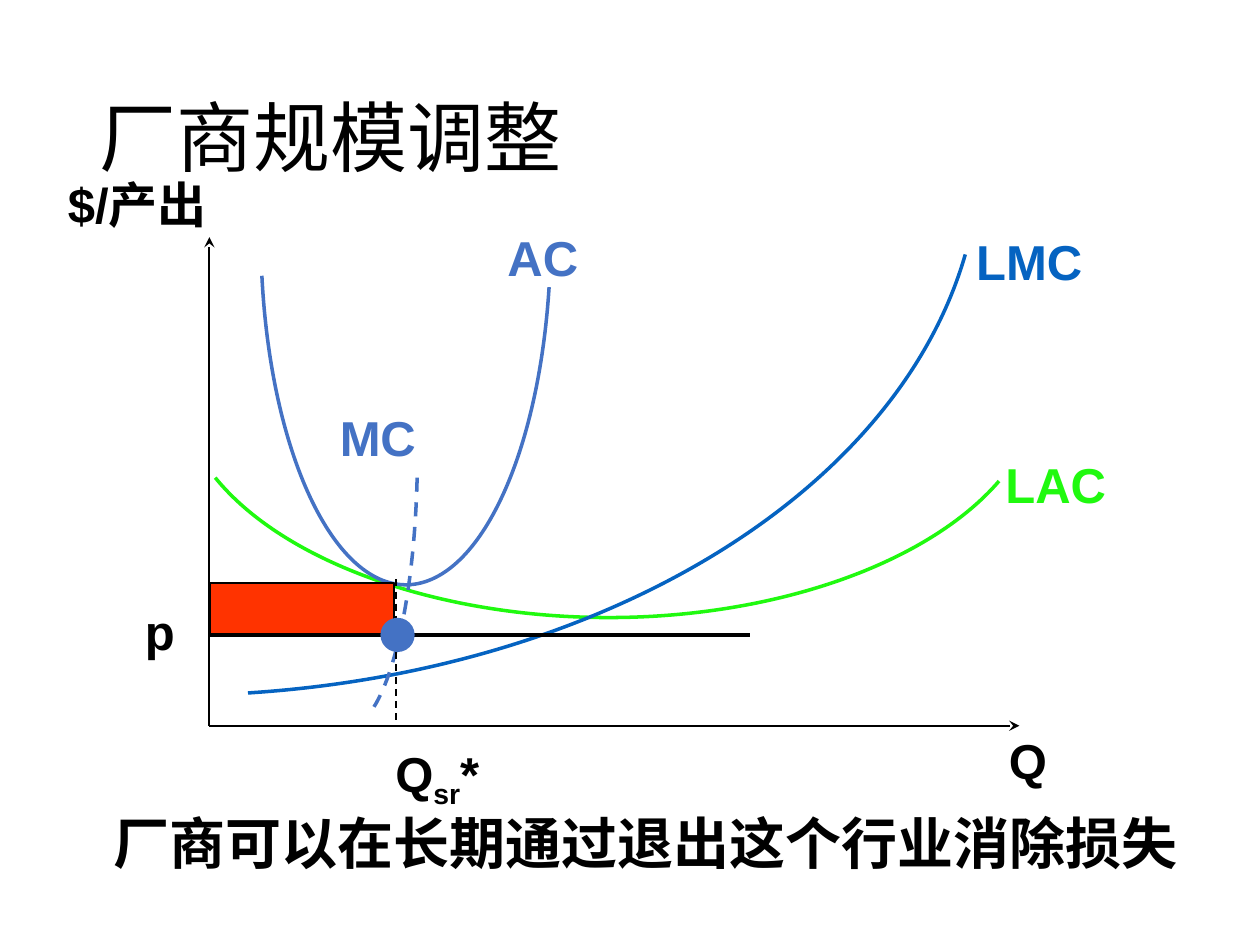
from dataclasses import dataclass
from typing import Optional

from lxml.etree import SubElement
from pptx import Presentation
from pptx.dml.color import RGBColor
from pptx.enum.dml import MSO_LINE as Dash
from pptx.enum.shapes import MSO_CONNECTOR as Connector, MSO_SHAPE as Shape
from pptx.enum.text import MSO_ANCHOR as Anchor, MSO_AUTO_SIZE as AutoSize
from pptx.oxml.ns import qn
from pptx.util import Cm, Pt

COLORS = {
    "black": "000000",
    "long_mc": "0563C1",
    "long_ac": "20F90F",
    "short": "4472C4",
    "loss": "FF3300",
}

# Key places of the diagram, in cm
ORIGIN_X, ORIGIN_Y = 4.22, 14.63
PRICE_Y = 12.8
QUANTITY_X = 7.98
DOT_SIZE = 0.69


@dataclass
class Curve:
    """A chain of cubic Bézier segments: start, then two controls and an end each."""
    color: str
    points: list[tuple[float, float]]
    dash: Optional[Dash] = None


@dataclass
class Line:
    start: tuple[float, float]
    end: tuple[float, float]
    width: float = 1
    dash: Optional[Dash] = None
    arrow: bool = False


@dataclass
class Label:
    text: str
    left: float
    top: float
    width: float
    color: str = "black"
    wrap: bool = False
    subscript: str = ""
    suffix: str = ""


CURVES = [
    # LAC
    Curve("long_ac", [(20.14, 9.7), (18.72, 11.35), (15.65, 12.45), (12.27, 12.45),
                      (8.84, 12.45), (5.72, 11.33), (4.34, 9.63)]),
    # LMC
    Curve("long_mc", [(19.46, 5.13), (18.08, 9.93), (12.19, 13.51), (5, 13.97)]),
    # AC
    Curve("short", [(11.07, 5.79), (10.85, 9.25), (9.63, 11.79), (8.18, 11.79),
                    (6.71, 11.79), (5.46, 9.12), (5.28, 5.56)]),
    # MC
    Curve("short", [(8.41, 9.63), (8.36, 11.68), (8.03, 13.46), (7.54, 14.25)],
          Dash.DASH),
]

AXES = [
    Line((ORIGIN_X, ORIGIN_Y), (ORIGIN_X, 4.78), arrow=True),
    Line((ORIGIN_X, ORIGIN_Y), (20.55, ORIGIN_Y), arrow=True),
]

GUIDES = [
    Line((ORIGIN_X, PRICE_Y), (15.11, PRICE_Y), width=2),
    Line((QUANTITY_X, 11.68), (QUANTITY_X, ORIGIN_Y), dash=Dash.DASH),
]

LABELS = [
    Label("LMC", 19.43, 4.55, 2.69, "long_mc"),
    Label("LAC", 20.02, 9.04, 2.57, "long_ac"),
    Label("Q", 20.09, 14.6, 1.3),
    Label("$/产出", 1.12, 3.4, 3.35, wrap=True),
    Label("AC", 9.98, 4.47, 1.96, "short"),
    Label("MC", 6.6, 8.1, 2.08, "short"),
    Label("p", 2.67, 12.01, 1.12),
    Label("Q", 7.72, 14.86, 2.31, subscript="sr", suffix="*"),
]


def rgb(name: str) -> RGBColor:
    return RGBColor.from_string(COLORS[name])


def style_line(line, color: str, width: float, dash: Optional[Dash] = None) -> None:
    line.color.rgb = rgb(color)
    line.width = Pt(width)
    if dash is not None:
        line.dash_style = dash


def add_text(slide, text: str, left: float, top: float, width: float, height: float,
             *, size: float = 28, font: str = "Arial", color: str = "black",
             bold: bool = True, wrap: bool = False, anchor: Anchor = Anchor.TOP,
             auto_size: AutoSize = AutoSize.SHAPE_TO_FIT_TEXT,
             line_spacing: Optional[float] = None,
             subscript: str = "", suffix: str = "") -> None:
    box = slide.shapes.add_textbox(Cm(left), Cm(top), Cm(width), Cm(height))
    frame = box.text_frame
    frame.word_wrap = wrap
    frame.auto_size = auto_size
    frame.vertical_anchor = anchor
    paragraph = frame.paragraphs[0]
    paragraph.line_spacing = line_spacing
    for part, lowered in ((text, False), (subscript, True), (suffix, False)):
        if not part:
            continue
        run = paragraph.add_run()
        run.text = part
        run.font.size = Pt(size)
        run.font.name = font
        run.font.bold = bold
        run.font.color.rgb = rgb(color)
        if lowered:
            run.font._element.set("baseline", "-25000")


def add_line(slide, item: Line) -> None:
    ends = [Cm(value) for value in (*item.start, *item.end)]
    connector = slide.shapes.add_connector(Connector.STRAIGHT, *ends)
    style_line(connector.line, "black", item.width, item.dash)
    if item.arrow:
        SubElement(connector.line._get_or_add_ln(), qn("a:tailEnd"), type="stealth")
    SubElement(connector._element.spPr, qn("a:effectLst"))


def add_curve(slide, curve: Curve) -> None:
    start, *rest = [(Cm(x), Cm(y)) for x, y in curve.points]
    builder = slide.shapes.build_freeform(*start)
    builder.add_line_segments(rest, close=False)
    outline = builder.convert_to_shape()
    # Turn every three straight steps into one cubic segment
    geometry = outline._element.find(".//" + qn("a:path"))
    steps = geometry.findall(qn("a:lnTo"))
    for first in range(0, len(steps), 3):
        cubic = SubElement(geometry, qn("a:cubicBezTo"))
        for step in steps[first:first + 3]:
            cubic.append(step[0])
            geometry.remove(step)
    outline.shadow.inherit = False
    outline.fill.background()
    style_line(outline.line, curve.color, 2, curve.dash)


def add_area(slide, kind: Shape, left: float, top: float, width: float, height: float,
             fill: str, border: Optional[str] = None) -> None:
    area = slide.shapes.add_shape(kind, Cm(left), Cm(top), Cm(width), Cm(height))
    area.shadow.inherit = False
    area.fill.solid()
    area.fill.fore_color.rgb = rgb(fill)
    if border:
        style_line(area.line, border, 1)
    else:
        area.line.fill.background()


def main() -> None:
    deck = Presentation()
    deck.slide_width, deck.slide_height = Cm(25.4), Cm(19.05)
    slide = deck.slides.add_slide(deck.slide_layouts[6])

    # Title
    add_text(slide, "厂商规模调整", 1.75, 1.02, 21.9, 3.68, size=44, font="Calibri",
             bold=False, wrap=True, anchor=Anchor.MIDDLE, auto_size=AutoSize.NONE,
             line_spacing=0.9)

    # Axes, cost curves, then price and quantity guides
    for axis in AXES:
        add_line(slide, axis)
    for curve in CURVES:
        add_curve(slide, curve)
    for guide in GUIDES:
        add_line(slide, guide)

    # Labels and conclusion
    for label in LABELS:
        add_text(slide, label.text, label.left, label.top, label.width, 1.45,
                 color=label.color, wrap=label.wrap,
                 subscript=label.subscript, suffix=label.suffix)
    add_text(slide, "厂商可以在长期通过退出这个行业消除损失", 2.03, 16.18, 22.25, 1.63,
             size=32)

    # Loss area and short-run equilibrium
    add_area(slide, Shape.RECTANGLE, 4.24, 11.76, 3.71, 1.02, "loss", "black")
    add_area(slide, Shape.OVAL, 7.67, PRICE_Y - DOT_SIZE / 2, DOT_SIZE, DOT_SIZE, "short")

    deck.save("out.pptx")


if __name__ == "__main__":
    main()
